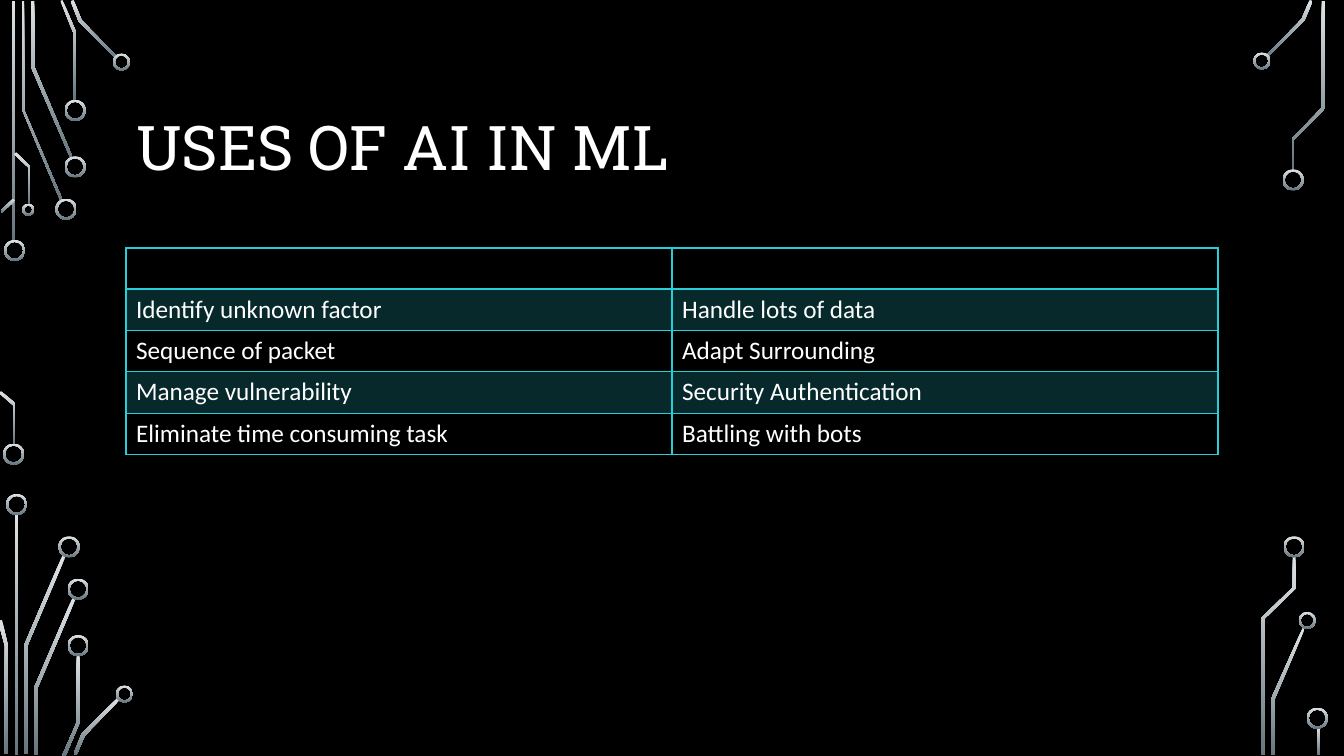
from dataclasses import dataclass

from lxml.etree import SubElement
from pptx import Presentation
from pptx.dml.color import RGBColor
from pptx.enum.shapes import MSO_SHAPE as Preset
from pptx.enum.text import MSO_ANCHOR as Anchor, MSO_AUTO_SIZE as AutoSize, PP_ALIGN as Align
from pptx.oxml.ns import qn
from pptx.util import Pt

PX = 9144


@dataclass(frozen=True)
class Theme:
    background: RGBColor = RGBColor.from_string("000000")
    text: RGBColor = RGBColor.from_string("FFFFFF")
    accent: RGBColor = RGBColor.from_string("27CED7")
    trace_top: RGBColor = RGBColor.from_string("DFE3E5")
    trace_bottom: RGBColor = RGBColor.from_string("65757D")
    band_opacity: int = 20
    title_font: str = "Roboto Slab"
    body_font: str = "Calibri"
    title_size: int = 44
    body_size: int = 18


@dataclass(frozen=True)
class Bar:
    x: int
    y: int
    h: int
    w: int = 3


@dataclass(frozen=True)
class Ring:
    x: int
    y: int
    d: int = 21


@dataclass(frozen=True)
class Trace:
    points: tuple[tuple[int, int], ...]


THEME = Theme()
RING_WALL = 2

BARS = [Bar(12, 1, 239), Bar(15, 510, 239), Bar(1306, 721, 28)]

RINGS = [
    Ring(4, 238), Ring(3, 440), Ring(55, 197), Ring(64, 155), Ring(64, 99),
    Ring(112, 53, 17), Ring(22, 202, 12),
    Ring(6, 490), Ring(58, 532), Ring(67, 574), Ring(67, 630), Ring(115, 680, 17),
    Ring(1243, 52, 17), Ring(1272, 168),
    Ring(1288, 607, 17), Ring(1273, 532), Ring(1296, 702),
]

TRACES = [
    Trace(((60, 199), (22, 109), (22, 1), (24, 1), (24, 109), (62, 198))),
    Trace(((70, 157), (31, 67), (31, 1), (34, 1), (34, 66), (72, 156))),
    Trace(((76, 100), (73, 100), (73, 33), (60, 1), (62, 0), (76, 33))),
    Trace(((115, 58), (78, 21), (70, 1), (73, 0), (81, 20), (116, 56))),
    Trace(((2, 211), (1, 209), (13, 197), (15, 199))),
    Trace(((15, 441), (13, 441), (13, 402), (-1, 390), (1, 388), (15, 400))),
    Trace(((30, 203), (28, 203), (28, 166), (14, 153), (16, 151), (30, 165))),
    Trace(((27, 748), (24, 748), (24, 640), (62, 551), (65, 552), (27, 641))),
    Trace(((8, 748), (5, 748), (5, 641), (-2, 616), (2, 615), (8, 641))),
    Trace(((37, 749), (34, 749), (34, 682), (72, 593), (75, 594), (37, 683))),
    Trace(((65, 750), (62, 749), (76, 717), (76, 650), (79, 650), (79, 717))),
    Trace(((76, 749), (73, 748), (81, 728), (117, 692), (119, 694), (84, 730))),
    Trace(((1258, 56), (1256, 55), (1291, 19), (1299, 0), (1302, 1), (1294, 20))),
    Trace(((1264, 749), (1261, 749), (1261, 693), (1292, 623), (1294, 624), (1264, 694))),
    Trace(((1283, 169), (1281, 169), (1281, 138), (1311, 107), (1311, 1),
           (1314, 1), (1314, 108), (1283, 139))),
    Trace(((1254, 749), (1251, 749), (1251, 613), (1282, 583), (1282, 552),
           (1285, 552), (1285, 584), (1254, 614))),
]

USES = [
    ("", ""),
    ("Identify unknown factor", "Handle lots of data"),
    ("Sequence of packet", "Adapt Surrounding"),
    ("Manage vulnerability", "Security Authentication"),
    ("Eliminate time consuming task", "Battling with bots"),
]


def px(*values: int) -> list[int]:
    return [v * PX for v in values]


def paint_trace(sp) -> None:
    sp.shadow.inherit = False
    sp.line.fill.background()
    sp.fill.gradient()
    sp.fill.gradient_angle = 270
    for stop, color in zip(sp.fill.gradient_stops, (THEME.trace_top, THEME.trace_bottom)):
        stop.color.rgb = color


def draw_bar(shapes, bar: Bar) -> None:
    paint_trace(shapes.add_shape(Preset.RECTANGLE, *px(bar.x, bar.y, bar.w, bar.h)))


def draw_ring(shapes, ring: Ring) -> None:
    sp = shapes.add_shape(Preset.DONUT, *px(ring.x, ring.y, ring.d, ring.d))
    sp.adjustments[0] = RING_WALL / ring.d
    paint_trace(sp)


def draw_trace(shapes, trace: Trace) -> None:
    builder = shapes.build_freeform(*trace.points[0], scale=PX)
    builder.add_line_segments(trace.points[1:], close=True)
    paint_trace(builder.convert_to_shape())


def style_run(r, font: str, size: int) -> None:
    r.font.name = font
    r.font.size = Pt(size)
    r.font.color.rgb = THEME.text


def draw_title(sp, text: str) -> None:
    sp.left, sp.top, sp.width, sp.height = px(125, 68, 1083, 162)
    tf = sp.text_frame
    tf.text = text
    tf.auto_size = AutoSize.NONE
    tf.vertical_anchor = Anchor.MIDDLE
    p = tf.paragraphs[0]
    p.alignment = Align.LEFT
    p.line_spacing = 0.9
    style_run(p.runs[0], THEME.title_font, THEME.title_size)


def set_borders(cell, widths: dict[str, int]) -> None:
    tc_pr = cell._tc.get_or_add_tcPr()
    for i, (side, width) in enumerate(widths.items()):
        ln = SubElement(tc_pr, qn(f"a:ln{side}"), w=str(Pt(width)))
        fill = SubElement(ln, qn("a:solidFill"))
        SubElement(fill, qn("a:srgbClr"), val=str(THEME.accent))
        tc_pr.insert(i, ln)


def fill_band(cell) -> None:
    cell.fill.solid()
    cell.fill.fore_color.rgb = THEME.accent
    color = cell._tc.tcPr.find(f".//{qn('a:srgbClr')}")
    SubElement(color, qn("a:alpha"), val=str(THEME.band_opacity * 1000))


def draw_table(shapes, rows: list[tuple[str, str]]) -> None:
    row_height = 41
    frame = shapes.add_table(len(rows), 2, *px(125, 246, 1083, row_height * len(rows)))
    table = frame.table
    table.first_row = table.horz_banding = False
    for i, row in enumerate(rows):
        table.rows[i].height = row_height * PX
        for j, text in enumerate(row):
            cell = table.cell(i, j)
            cell.text = text
            for r in cell.text_frame.paragraphs[0].runs:
                style_run(r, THEME.body_font, THEME.body_size)
            if i % 2:
                fill_band(cell)
            else:
                cell.fill.background()
            set_borders(cell, {"L": 1, "R": 1, "T": 2 if i == 1 else 1, "B": 2 if i == 0 else 1})


def main() -> None:
    prs = Presentation()
    prs.slide_width, prs.slide_height = px(1333, 750)
    s = prs.slides.add_slide(prs.slide_layouts[5])
    s.background.fill.solid()
    s.background.fill.fore_color.rgb = THEME.background
    for draw, items in ((draw_bar, BARS), (draw_trace, TRACES), (draw_ring, RINGS)):
        for item in items:
            draw(s.shapes, item)
    draw_title(s.shapes.title, "USES OF AI IN ML")
    draw_table(s.shapes, USES)
    prs.save("out.pptx")


if __name__ == "__main__":
    main()
